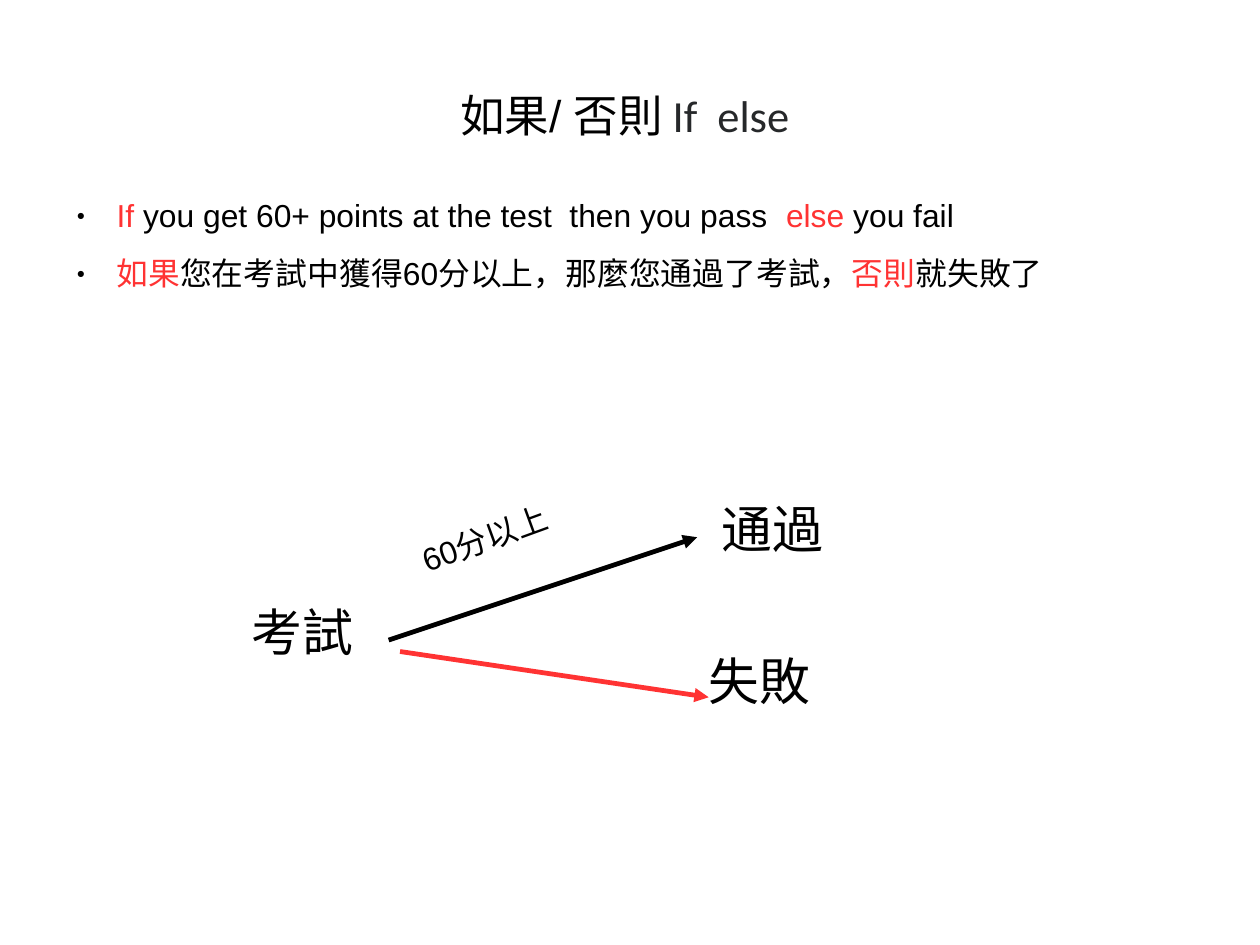
from lxml import etree
from pptx import Presentation
from pptx.dml.color import RGBColor
from pptx.enum import shapes, text
from pptx.oxml import ns
from pptx.util import Cm, Inches, Pt

BLACK, RED, GREY = "000000", "FF3333", "26282A"


def color(hex_value):
    return RGBColor.from_string(hex_value)


def add_element(parent, tag, **attributes):
    element = etree.SubElement(parent, ns.qn(tag))
    for key, value in attributes.items():
        element.set(key, value)
    return element


def place(shape, box):
    shape.left, shape.top, shape.width, shape.height = map(Inches, box)


def prepare_frame(frame, top_inset, anchor):
    frame.word_wrap = True
    frame.auto_size = text.MSO_AUTO_SIZE.NONE
    frame.vertical_anchor = anchor
    frame.margin_left = frame.margin_right = frame.margin_bottom = 0
    frame.margin_top = Inches(top_inset)


def add_runs(paragraph, pieces):
    for words, hex_value in pieces:
        run = paragraph.add_run()
        run.text = words
        run.font.color.rgb = color(hex_value)


def add_title(slide, box):
    title = slide.shapes.title
    place(title, box)
    prepare_frame(title.text_frame, 0, text.MSO_ANCHOR.MIDDLE)
    heading = title.text_frame.paragraphs[0]
    heading.alignment = text.PP_ALIGN.CENTER
    heading.line_spacing = 0.98
    heading.font.size = Pt(28)
    add_runs(heading, [("如果/ 否則 ", BLACK), ("If  else ", GREY)])
    for run, name in zip(heading.runs, ("Arial", "Calibri")):
        run.font.name = name


def add_bullet(paragraph):
    properties = paragraph._p.get_or_add_pPr()
    properties.set("marL", str(Inches(0.47)))
    properties.set("indent", str(Inches(-0.35)))
    bullet_color = add_element(properties, "a:buClr")
    add_element(bullet_color, "a:srgbClr", val=BLACK)
    add_element(properties, "a:buSzPct", val="45000")
    add_element(properties, "a:buFont", typeface="Arial")
    add_element(properties, "a:buChar", char="●")


def format_body_text(paragraph, size):
    paragraph.line_spacing = 0.93
    paragraph.space_before = Pt(0)
    paragraph.space_after = Pt(14.3)
    paragraph.font.size = Pt(size)
    paragraph.font.name = "Arial"


def add_rules(slide, box, rules):
    body = slide.placeholders[1]
    place(body, box)
    frame = body.text_frame
    prepare_frame(frame, 0.03, text.MSO_ANCHOR.TOP)
    for index, pieces in enumerate(rules):
        rule = frame.add_paragraph() if index else frame.paragraphs[0]
        add_bullet(rule)
        format_body_text(rule, 20)
        add_runs(rule, pieces)


def add_label(slide, words, box, size=32, rotation=0):
    label = slide.shapes.add_textbox(*map(Inches, box))
    label.rotation = rotation
    prepare_frame(label.text_frame, 0.03, text.MSO_ANCHOR.TOP)
    paragraph = label.text_frame.paragraphs[0]
    format_body_text(paragraph, size)
    add_runs(paragraph, [(words, BLACK)])


def add_arrow(slide, start, end, hex_value):
    arrow = slide.shapes.add_connector(
        shapes.MSO_CONNECTOR.STRAIGHT, *map(Inches, start + end))
    arrow.line.color.rgb = color(hex_value)
    arrow.line.width = Pt(3)
    add_element(arrow.line._get_or_add_ln(), "a:tailEnd", type="triangle")
    add_element(arrow._element.spPr, "a:effectLst")


def add_decision(slide, left, top):
    width, height = 1.09, 0.53
    for words, x, y in [("考試", 0, 0.9), ("通過", 4.11, 0), ("失敗", 4, 1.33)]:
        add_label(slide, words, (left + x, top + y, width, height))
    add_arrow(slide, (left + 1.2, top + 1.23), (left + 3.9, top + 0.33), BLACK)
    add_label(slide, "60分以上", (left + 1.47, top, 2.13, height), 20, 340)
    add_arrow(slide, (left + 1.3, top + 1.33), (left + 4, top + 1.73), RED)


def main():
    deck = Presentation()
    deck.slide_width = Cm(28)
    deck.slide_height = Cm(21)
    slide = deck.slides.add_slide(deck.slide_layouts[1])
    add_title(slide, (0.55, 0.33, 9.92, 1.38))
    add_rules(slide, (0.55, 1.71, 9.92, 5.46), [
        [("If", RED), (" you get 60+ points at the test  then you pass  ", BLACK),
         ("else", RED), (" you fail", BLACK)],
        [("如果", RED), ("您在考試中獲得60分以上，那麼您通過了考試，", BLACK),
         ("否則", RED), ("就失敗了", BLACK)],
    ])
    add_decision(slide, 2.2, 4.37)
    deck.save("out.pptx")


if __name__ == "__main__":
    main()
